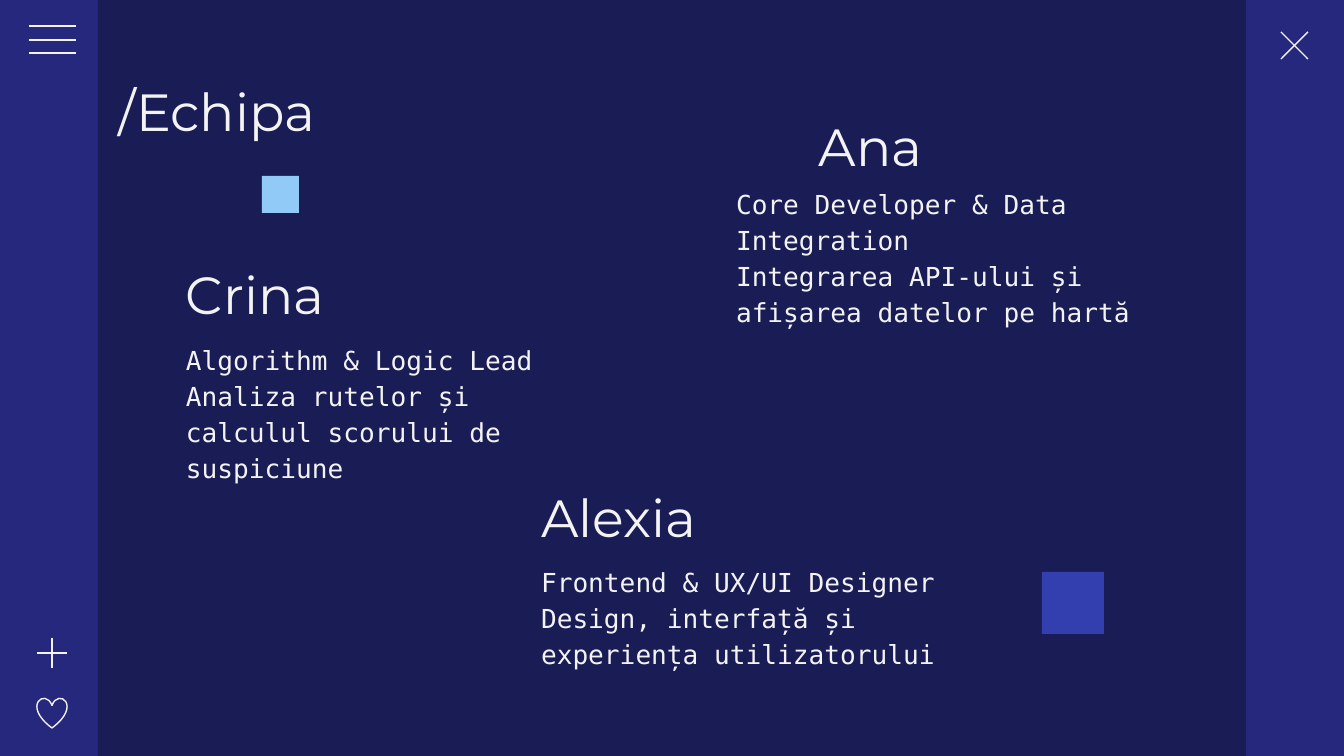
"""Build the team slide with three members and their roles."""
from lxml import etree
from pptx import Presentation
from pptx.dml.color import RGBColor
from pptx.enum.shapes import MSO_CONNECTOR as Connector, MSO_SHAPE as Shape
from pptx.enum.text import MSO_ANCHOR as Anchor
from pptx.oxml.ns import qn
from pptx.util import Pt

EMU_PER_PX = 9144000 / 1344
COLORS = {
    "background": "25287C",
    "panel": "191C55",
    "light": "F3F3F3",
    "sky": "92CAF7",
    "indigo": "333EAF",
}
HEADING = {"font": "Montserrat", "size": 28}
BODY = {"font": "DejaVu Sans Mono", "size": 14, "spacing": 1.15}


def px(*lengths):
    return [round(length * EMU_PER_PX) for length in lengths]


class Page:
    def __init__(self, deck):
        self.slide = deck.slides.add_slide(deck.slide_layouts[6])
        self.shapes = self.slide.shapes
        fill = self.slide.background.fill
        fill.solid()
        fill.fore_color.rgb = self.color("background")

    def color(self, name):
        return RGBColor.from_string(COLORS[name])

    def rect(self, left, top, width, height, color):
        shape = self.shapes.add_shape(Shape.RECTANGLE, *px(left, top, width, height))
        shape.shadow.inherit = False
        shape.fill.solid()
        shape.fill.fore_color.rgb = self.color(color)
        shape.line.fill.background()

    def heart(self, left, top, size):
        shape = self.shapes.add_shape(Shape.HEART, *px(left, top, size, size))
        shape.shadow.inherit = False
        shape.fill.background()
        self.stroke(shape)

    def line(self, x1, y1, x2, y2):
        connector = self.shapes.add_connector(Connector.STRAIGHT, *px(x1, y1, x2, y2))
        self.stroke(connector)
        etree.SubElement(connector._element.spPr, qn("a:effectLst"))

    def stroke(self, shape):
        shape.line.color.rgb = self.color("light")
        shape.line.width = Pt(0.75)

    def text(self, left, top, width, height, paragraphs, font, size, spacing=1.0):
        box = self.shapes.add_textbox(*px(left, top, width, height))
        frame = box.text_frame
        frame.word_wrap = True
        frame.vertical_anchor = Anchor.TOP
        inset = px(13)[0]
        frame.margin_left = frame.margin_right = inset
        frame.margin_top = frame.margin_bottom = inset
        for index, words in enumerate(paragraphs):
            para = frame.add_paragraph() if index else frame.paragraphs[0]
            para.line_spacing = spacing
            span = para.add_run()
            span.text = words
            span.font.name = font
            span.font.size = Pt(size)
            span.font.color.rgb = self.color("light")


def main():
    deck = Presentation()
    deck.slide_width, deck.slide_height = px(1344, 756)
    page = Page(deck)

    page.rect(98, 0, 1148, 756, "panel")
    for y in (26, 40, 53):
        page.line(29, y, 76, y)
    page.line(1281, 32, 1308, 59)
    page.line(1308, 32, 1281, 59)
    page.heart(37, 698, 30)
    page.line(37, 653, 67, 653)
    page.line(52, 638, 52, 668)

    page.rect(262, 176, 37, 37, "sky")
    page.rect(1042, 572, 62, 62, "indigo")

    page.text(106, 66, 1133, 85, ["/Echipa"], **HEADING)
    members = [
        ("Crina", (173, 249, 390, 95), (173, 327, 446, 125),
         ["Algorithm & Logic Lead",
          "Analiza rutelor și calculul scorului de suspiciune"]),
        ("Ana", (806, 101, 363, 95), (723, 171, 446, 173),
         ["Core Developer & Data Integration",
          "Integrarea API-ului și afișarea datelor pe hartă"]),
        ("Alexia", (528, 472, 390, 95), (528, 549, 446, 142),
         ["Frontend & UX/UI Designer",
          "Design, interfață și experiența utilizatorului"]),
    ]
    for name, name_area, role_area, role in members:
        page.text(*name_area, [name], **HEADING)
        page.text(*role_area, role, **BODY)

    deck.save("out.pptx")


if __name__ == "__main__":
    main()
